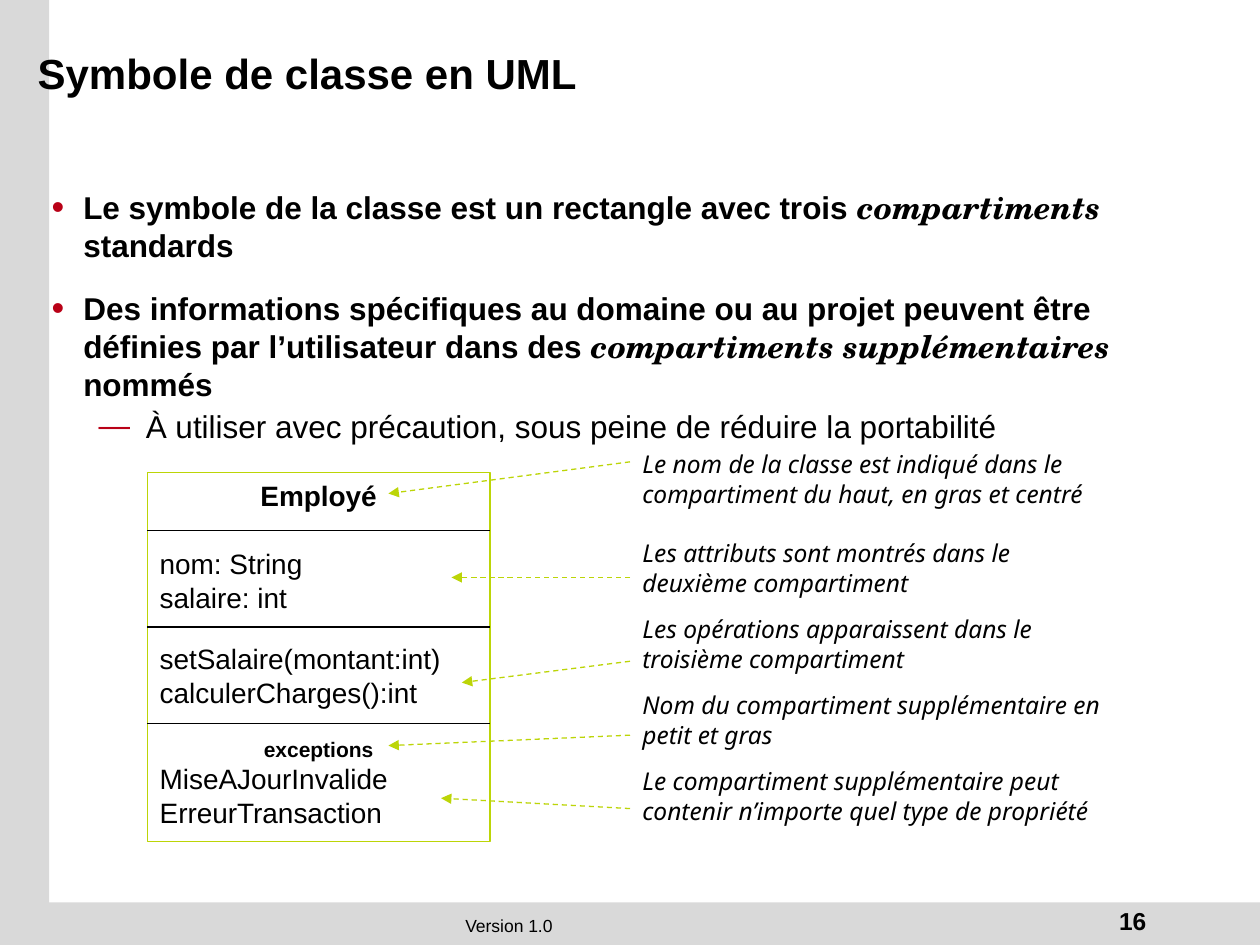
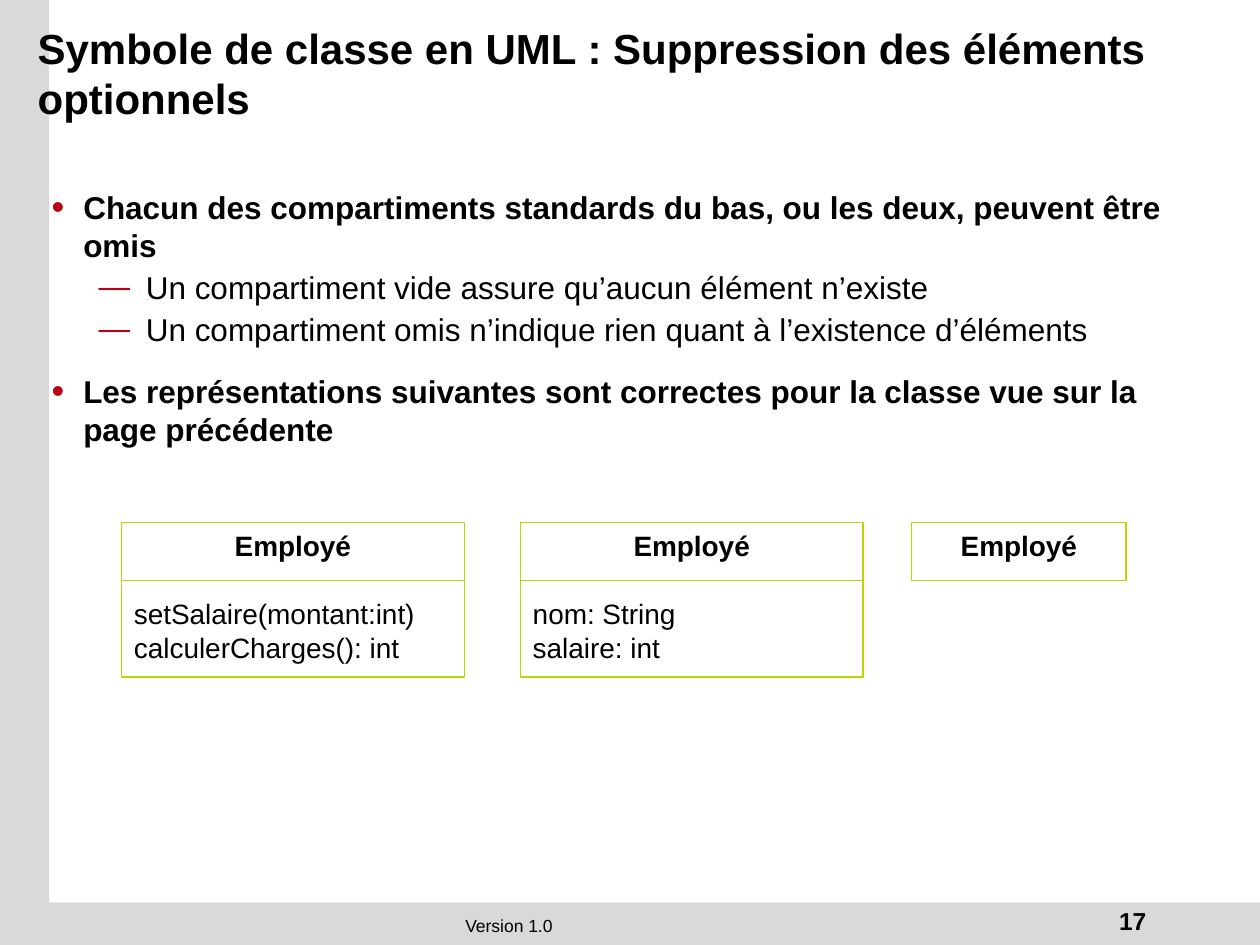
from lxml import etree
from pptx import Presentation
from pptx.dml.color import RGBColor
from pptx.enum.dml import MSO_LINE
from pptx.enum.shapes import MSO_CONNECTOR, MSO_SHAPE
from pptx.enum.text import MSO_ANCHOR, PP_ALIGN
from pptx.oxml.ns import qn
from pptx.util import Cm, Pt

CENTER, RIGHT = PP_ALIGN.CENTER, PP_ALIGN.RIGHT
TOP, MIDDLE = MSO_ANCHOR.TOP, MSO_ANCHOR.MIDDLE
RECTANGLE, STRAIGHT = MSO_SHAPE.RECTANGLE, MSO_CONNECTOR.STRAIGHT
DASH = MSO_LINE.DASH

BLACK, WHITE, GREY, GREEN, RED = "000000", "FFFFFF", "D9D9D9", "BCD507", "B90117"
LINE_HEIGHT = 1.21
SLIDE_WIDTH, SLIDE_HEIGHT = 25.4, 19.05
HEADER, COMPARTMENT, EXTRA = 1.17, 1.95, 2.37
CLASS_WIDTH = 6.91

BANDS = [(0, 0, 0.99, SLIDE_HEIGHT), (0, 18.19, SLIDE_WIDTH, 0.86)]
FOOTER_AREA = (0.28, 18.31, 19.96, 0.69)
NUMBER_AREA = (19.35, 18.14, 4.01, 0.84)
NOTES_AREA = (12.7, 8.93, 9.93, 9.09)

TITLE = {"size": 24, "bold": True}
FOOTER = {"size": 10, "align": CENTER}
NUMBER = {"size": 14, "bold": True, "align": RIGHT}
POINT = {"size": 18, "bold": True, "before": 14,
         "bullet": {"char": "•", "left": 0.64, "hang": 0.64, "percent": 115}}
SUBPOINT = {"size": 18, "before": 2,
            "bullet": {"char": "—", "left": 1.9, "hang": 0.95, "percent": 100}}
CLASS_NAME = {"size": 16, "bold": True, "align": CENTER}
MEMBER = {"size": 16}
FIRST_ATTRIBUTE = {"size": 16, "before": 19.4}
FIRST_OPERATION = {"size": 16, "before": 15.5}
EXTRA_NAME = {"size": 12, "bold": True, "align": CENTER, "before": 15.5}
NOTE = {"size": 14, "italic": True, "name": "Noto Sans"}
TERM = {"name": "TeX Gyre Schola", "italic": True}

EMPLOYEE = ("Employé", CLASS_NAME)
ATTRIBUTES = [("nom: String", FIRST_ATTRIBUTE), ("salaire: int", MEMBER)]

SLIDES = [
    {
        "number": "16",
        "title": "Symbole de classe en UML",
        "title_width": 21.64,
        "body_height": 3.91,
        "body": [
            ([("Le symbole de la classe est un rectangle avec trois ", {}),
              ("compartiments", TERM),
              (" standards", {})], POINT),
            ([("Des informations spécifiques au domaine ou au projet peuvent être "
               "définies par l’utilisateur dans des ", {}),
              ("compartiments supplémentaires ", TERM),
              ("nommés", {})], POINT),
            ("À utiliser avec précaution, sous peine de réduire la portabilité", SUBPOINT),
        ],
        "classes": [
            {"left": 2.97, "top": 9.52, "width": CLASS_WIDTH, "divider": BLACK,
             "compartments": [COMPARTMENT, COMPARTMENT, EXTRA], "grouped": False,
             "text": [EMPLOYEE, *ATTRIBUTES,
                      ("setSalaire(montant:int)", FIRST_OPERATION),
                      ("calculerCharges():int", MEMBER),
                      ("exceptions", EXTRA_NAME),
                      ("MiseAJourInvalide", MEMBER),
                      ("ErreurTransaction", MEMBER)]},
        ],
        "notes": [
            ("Le nom de la classe est indiqué dans le compartiment du haut, en gras et centré", 0),
            ("Les attributs sont montrés dans le deuxième compartiment", 16.9),
            ("Les opérations apparaissent dans le troisième compartiment", 9.7),
            ("Nom du compartiment supplémentaire en petit et gras", 9.7),
            ("Le compartiment supplémentaire peut contenir n’importe quel type de propriété", 9.7),
        ],
        "arrows": [(9.31, 7.83, 9.95), (11.64, 9.1, 11.64), (13.33, 9.31, 13.76),
                   (14.82, 7.83, 15.03), (16.3, 8.89, 16.09)],
    },
    {
        "number": "17",
        "title": "Symbole de classe en UML : Suppression des éléments optionnels",
        "title_width": 23.8,
        "body_height": 5.46,
        "body": [
            ("Chacun des compartiments standards du bas, ou les deux, peuvent être omis", POINT),
            ("Un compartiment vide assure qu’aucun élément n’existe", SUBPOINT),
            ("Un compartiment omis n’indique rien quant à l’existence d’éléments", SUBPOINT),
            ("Les représentations suivantes sont correctes pour la classe vue sur la "
             "page précédente", POINT),
        ],
        "classes": [
            {"left": 2.45, "top": 10.53, "width": CLASS_WIDTH, "divider": GREEN,
             "compartments": [COMPARTMENT], "grouped": True,
             "text": [EMPLOYEE, ("setSalaire(montant:int)", FIRST_ATTRIBUTE),
                      ("calculerCharges(): int", MEMBER)]},
            {"left": 10.49, "top": 10.53, "width": CLASS_WIDTH, "divider": GREEN,
             "compartments": [COMPARTMENT], "grouped": True,
             "text": [EMPLOYEE, *ATTRIBUTES]},
            {"left": 18.38, "top": 10.53, "width": 4.32, "divider": GREEN,
             "compartments": [], "grouped": False, "text": [EMPLOYEE]},
        ],
        "notes": [],
        "arrows": [],
    },
]


def color(value):
    return RGBColor.from_string(value)


def add_bullet(paragraph, bullet):
    properties = paragraph._p.get_or_add_pPr()
    properties.set("marL", str(Cm(bullet["left"])))
    properties.set("indent", str(-Cm(bullet["hang"])))
    bullet_color = etree.SubElement(properties, qn("a:buClr"))
    etree.SubElement(bullet_color, qn("a:srgbClr"), val=RED)
    etree.SubElement(properties, qn("a:buSzPct"), val=str(bullet["percent"] * 1000))
    etree.SubElement(properties, qn("a:buFont"), typeface="Arial")
    etree.SubElement(properties, qn("a:buChar"), char=bullet["char"])


def write(shape, paragraphs, anchor=TOP):
    frame = shape.text_frame
    frame.word_wrap = True
    frame.vertical_anchor = anchor
    for index, (content, style) in enumerate(paragraphs):
        paragraph = frame.add_paragraph() if index else frame.paragraphs[0]
        paragraph.alignment = style.get("align", PP_ALIGN.LEFT)
        paragraph.space_before = Pt(style.get("before", 0))
        paragraph.line_spacing = Pt(round(style["size"] * LINE_HEIGHT, 1))
        if "bullet" in style:
            add_bullet(paragraph, style["bullet"])
        runs = [(content, {})] if isinstance(content, str) else content
        for text, changes in runs:
            run = paragraph.add_run()
            run.text = text
            values = {"name": "Arial", "bold": False, "italic": False, **style, **changes}
            values["size"] = Pt(style["size"])
            for attribute in ("name", "size", "bold", "italic"):
                setattr(run.font, attribute, values[attribute])
            run.font.color.rgb = color(BLACK)


def add_text(slide, area, paragraphs, anchor=TOP):
    box = slide.shapes.add_textbox(*map(Cm, area))
    write(box, paragraphs, anchor)


def add_rectangle(shapes, area, fill, line=None):
    rectangle = shapes.add_shape(RECTANGLE, *map(Cm, area))
    rectangle.shadow.inherit = False
    rectangle.fill.solid()
    rectangle.fill.fore_color.rgb = color(fill)
    if line:
        rectangle.line.color.rgb = color(line)
        rectangle.line.width = Pt(0.75)
    else:
        rectangle.line.fill.background()
    return rectangle


def add_line(shapes, start, end, line_color):
    connector = shapes.add_connector(STRAIGHT, *map(Cm, start + end))
    connector.line.color.rgb = color(line_color)
    connector.line.width = Pt(0.75)
    etree.SubElement(connector._element.spPr, qn("a:effectLst"))
    return connector


def add_arrow(slide, start, end):
    arrow = add_line(slide.shapes, start, end, GREEN)
    arrow.line.dash_style = DASH
    etree.SubElement(arrow.line._get_or_add_ln(), qn("a:tailEnd"), type="triangle")


def add_class(slide, symbol):
    shapes = slide.shapes.add_group_shape().shapes if symbol["grouped"] else slide.shapes
    left, top, width = symbol["left"], symbol["top"], symbol["width"]
    height = HEADER + sum(symbol["compartments"])
    rectangle = add_rectangle(shapes, (left, top, width, height), WHITE, GREEN)
    write(rectangle, symbol["text"])
    divider = top + HEADER
    for compartment in symbol["compartments"]:
        add_line(shapes, (left, divider), (left + width, divider), symbol["divider"])
        divider += compartment


def add_frame(slide, content):
    for band in BANDS:
        add_rectangle(slide.shapes, band, GREY)
    add_text(slide, FOOTER_AREA, [("Version 1.0", FOOTER)])
    add_text(slide, NUMBER_AREA, [(content["number"], NUMBER)])
    add_text(slide, (0.51, 0.46, content["title_width"], 2.01),
             [(content["title"], TITLE)], MIDDLE)
    add_text(slide, (0.79, 3.66, 23.88, content["body_height"]), content["body"])


def main():
    presentation = Presentation()
    presentation.slide_width, presentation.slide_height = Cm(SLIDE_WIDTH), Cm(SLIDE_HEIGHT)
    for content in SLIDES:
        slide = presentation.slides.add_slide(presentation.slide_layouts[6])
        add_frame(slide, content)
        for symbol in content["classes"]:
            add_class(slide, symbol)
        if content["notes"]:
            add_text(slide, NOTES_AREA,
                     [(text, {**NOTE, "before": before}) for text, before in content["notes"]])
        for start_y, end_x, end_y in content["arrows"]:
            add_arrow(slide, (NOTES_AREA[0], start_y), (end_x, end_y))
    presentation.save("out.pptx")


if __name__ == "__main__":
    main()
